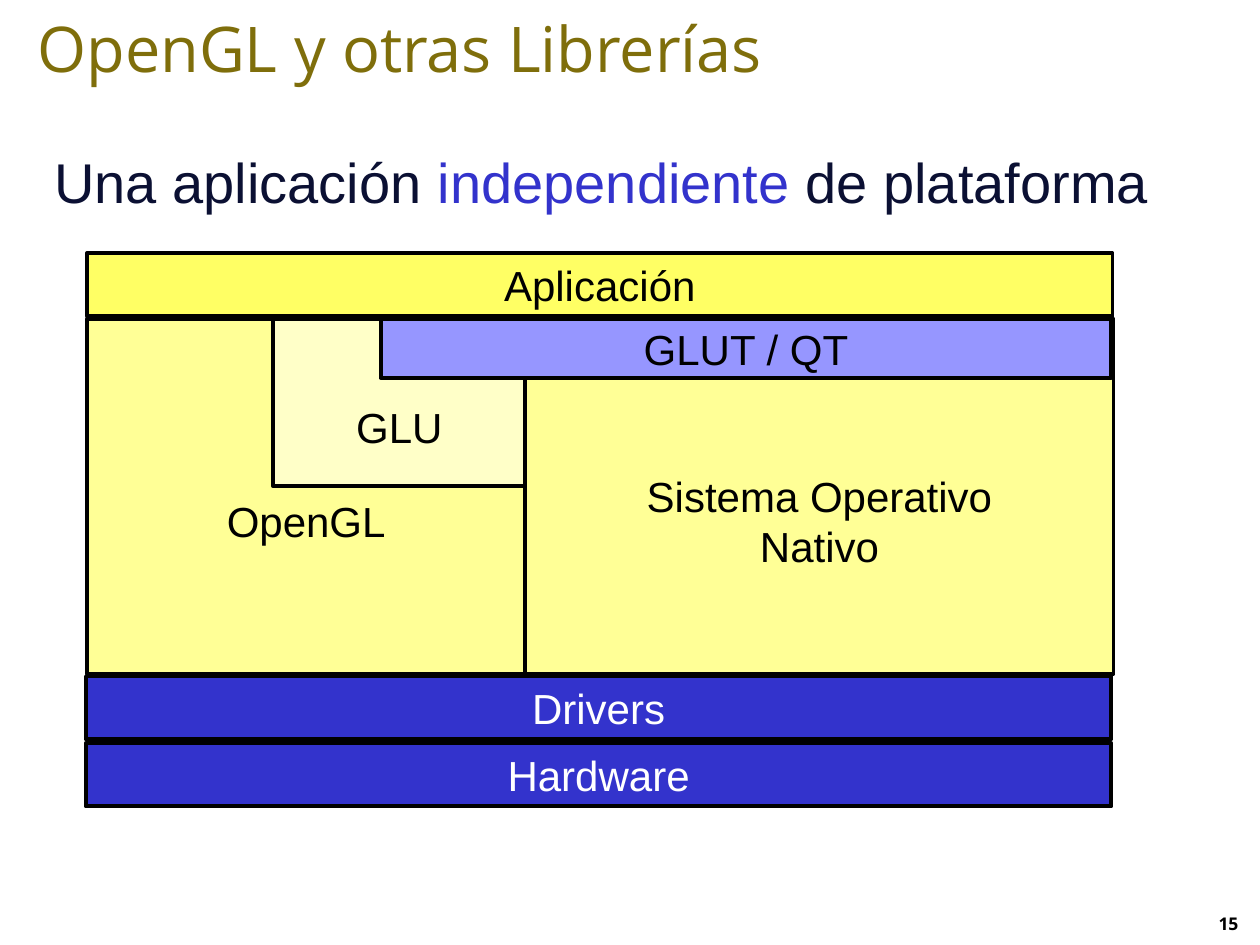
from pptx import Presentation
from pptx.dml.color import RGBColor
from pptx.enum.shapes import MSO_SHAPE
from pptx.enum.text import MSO_ANCHOR, PP_ALIGN
from pptx.util import Pt

RECTANGLE = MSO_SHAPE.RECTANGLE
MIDDLE, TOP = MSO_ANCHOR.MIDDLE, MSO_ANCHOR.TOP
LEFT, CENTER = PP_ALIGN.LEFT, PP_ALIGN.CENTER
BLACK, WHITE, BLUE, NAVY = "000000", "FFFFFF", "3333CC", "0B1033"
LINE_HEIGHT = 27.6


def color(value):
    """Turn a hex string into a colour."""
    return RGBColor.from_string(value)


def write(shape, lines, size, font="Arial", align=LEFT, anchor=TOP, bold=False):
    """Fill a shape with lines, each a list of (text, colour) runs."""
    frame = shape.text_frame
    frame.word_wrap = True
    frame.vertical_anchor = anchor
    for index, runs in enumerate(lines):
        para = frame.add_paragraph() if index else frame.paragraphs[0]
        para.alignment = align
        for text, ink in runs:
            span = para.add_run()
            span.text = text
            span.font.size = Pt(size)
            span.font.name = font
            span.font.bold = bold
            span.font.color.rgb = color(ink)


def add_text(page, box, lines, size, **style):
    """Add a text box at the given left, top, width and height."""
    write(page.shapes.add_textbox(*map(Pt, box)), lines, size, **style)


def add_layer(page, box, labels, fill, ink=BLACK, drop=0):
    """Add an outlined block whose label sits half of drop below its middle."""
    block = page.shapes.add_shape(RECTANGLE, *map(Pt, box))
    block.shadow.inherit = False
    block.fill.solid()
    block.fill.fore_color.rgb = color(fill)
    block.line.color.rgb = color(BLACK)
    block.line.width = Pt(2.25)
    block.text_frame.margin_top = Pt(3.6 + drop)
    write(block, [[(label, ink)] for label in labels], 24, align=CENTER, anchor=MIDDLE)


def add_stack(page, left, top, width):
    """Add the diagram of software layers."""
    bar, middle, middle_height = 36, top + 37.5, 203
    split = left + 250.5
    right = left + width
    base = middle + middle_height + 1.4
    add_layer(page, (left, middle, split - left, middle_height),
              ["OpenGL"], "FFFF96", drop=LINE_HEIGHT)
    add_layer(page, (left, top, width, bar), ["Aplicación"], "FFFF64")
    add_layer(page, (split - 144, middle, 144, 95.8), ["GLU"], "FFFFC8", drop=LINE_HEIGHT)
    for row, label in enumerate(["Drivers", "Hardware"]):
        add_layer(page, (left - 0.7, base + row * 38.2, width, bar), [label], BLUE, WHITE)
    add_layer(page, (split, middle, right - split + 0.5, middle_height),
              ["Sistema Operativo", "Nativo"], "FFFF96", drop=LINE_HEIGHT)
    add_layer(page, (right - 418.3, middle, 417.6, 33.8), ["GLUT / QT"], "9696FF")


def main():
    """Build the deck and save it."""
    deck = Presentation()
    deck.slide_width, deck.slide_height = Pt(720), Pt(540)
    page = deck.slides.add_slide(deck.slide_layouts[6])
    add_text(page, (684, 518.4, 36, 23.8), [[("15", BLACK)]], 10,
             font="Open Sans", align=CENTER, bold=True)
    add_text(page, (14.4, 0, 538.6, 54), [[("OpenGL y otras Librerías", "7F6E0B")]], 36,
             font="Open Sans", anchor=MIDDLE)
    add_text(page, (24, 81, 672, 423),
             [[("Una aplicación ", NAVY), ("independiente", BLUE), (" de plataforma", NAVY)]], 32)
    add_stack(page, 49.7, 144.7, 586.1)
    deck.save("out.pptx")


if __name__ == "__main__":
    main()
